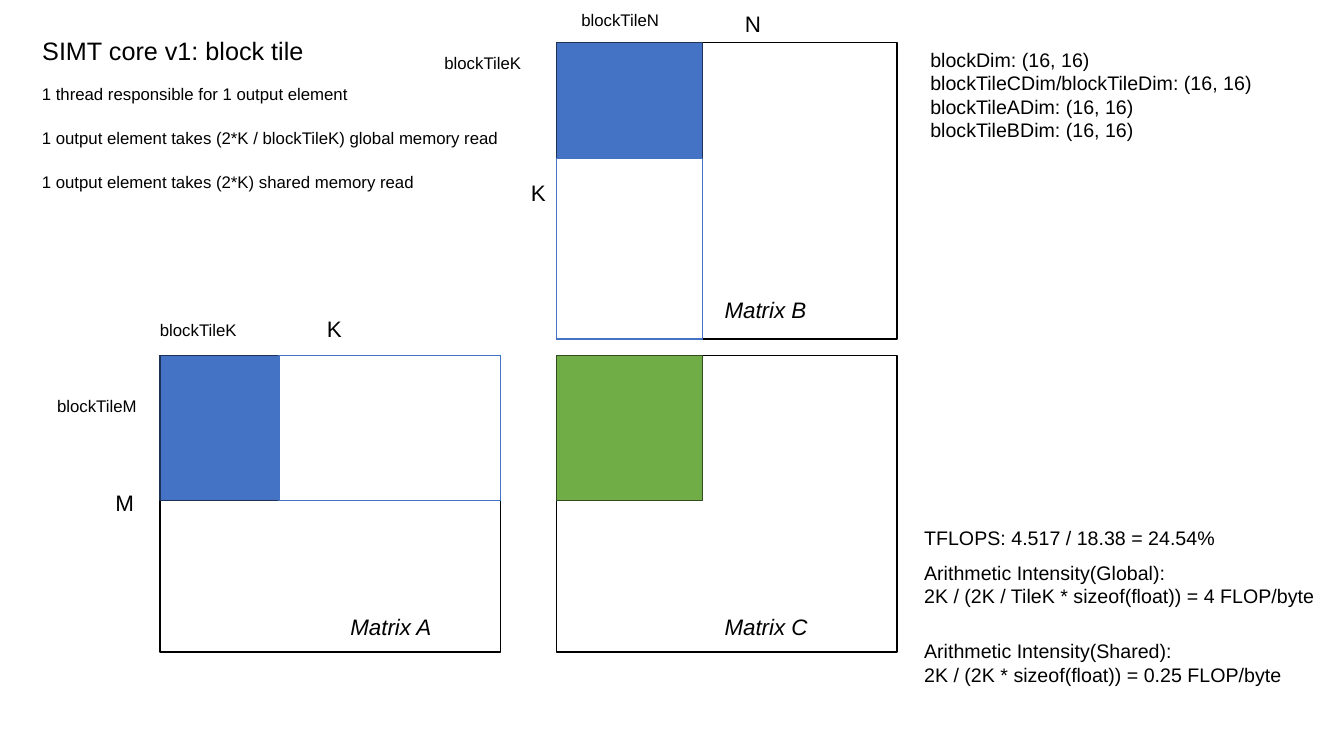
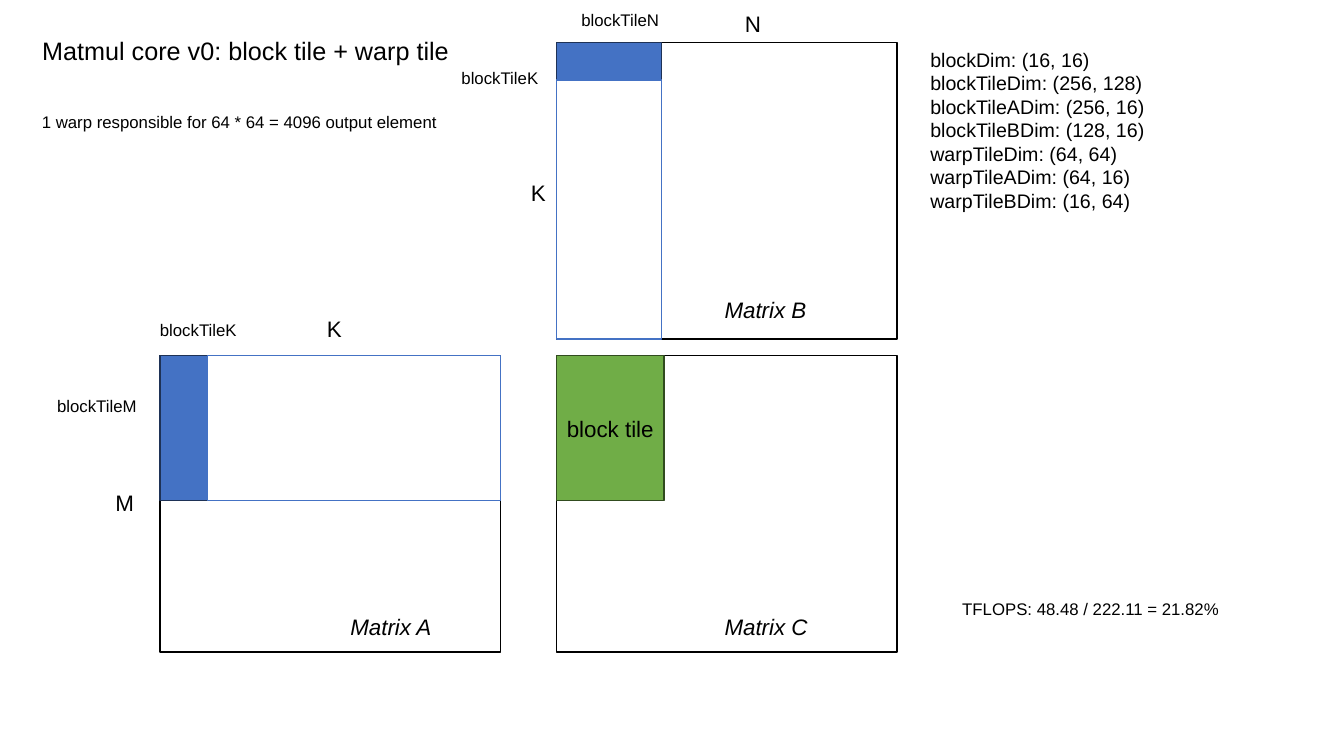
from dataclasses import dataclass

from lxml.etree import SubElement
from pptx import Presentation
from pptx.dml.color import RGBColor
from pptx.enum.shapes import MSO_SHAPE as Preset
from pptx.enum.text import MSO_ANCHOR as Anchor, MSO_AUTO_SIZE as AutoSize, PP_ALIGN as Align
from pptx.oxml.ns import qn
from pptx.util import Cm, Pt


@dataclass(frozen=True)
class Theme:
    font: str = "Arial"
    ink: str = "000000"
    paper: str = "FFFFFF"
    input_fill: str = "4472C4"
    input_edge: str = "1E3256"
    output_fill: str = "70AD47"
    output_edge: str = "314C1F"
    title: int = 18
    axis: int = 16
    text: int = 14
    note: int = 12
    line: int = 1


@dataclass(frozen=True)
class Box:
    """A rectangle in centimetres."""
    left: float
    top: float
    width: float
    height: float

    def inner(self, left, top, width, height):
        return Box(self.left + left, self.top + top, width, height)

    def lengths(self):
        return Cm(self.left), Cm(self.top), Cm(self.width), Cm(self.height)


@dataclass(frozen=True)
class Tiling:
    """Tile sizes in centimetres, as drawn on one page."""
    a_k: float
    b_k: float
    b_n: float
    c_n: float
    b_label: tuple
    m: float = 3.66
    caption: str = ""


THEME = Theme()
TITLE_BOX = Box(0.81, 0.76, 11, 1.02)
MATRIX_WIDTH, MATRIX_HEIGHT = 8.59, 7.47
LEFT_COLUMN, RIGHT_COLUMN = 4.03, 14.02
TOP_ROW, BOTTOM_ROW = 1.07, 8.96
MATRIX_A = Box(LEFT_COLUMN, BOTTOM_ROW, MATRIX_WIDTH, MATRIX_HEIGHT)
MATRIX_B = Box(RIGHT_COLUMN, TOP_ROW, MATRIX_WIDTH, MATRIX_HEIGHT)
MATRIX_C = Box(RIGHT_COLUMN, BOTTOM_ROW, MATRIX_WIDTH, MATRIX_HEIGHT)


# Text helpers
def write(frame, lines, size, italic=False, gap=0):
    frame.word_wrap = True
    frame.auto_size = AutoSize.NONE
    frame.vertical_anchor = Anchor.TOP
    for index, line in enumerate(lines):
        para = frame.paragraphs[0] if index == 0 else frame.add_paragraph()
        para.text = line
        para.alignment = Align.LEFT
        para.line_spacing = 1.0
        para.space_before = Pt(gap if index else 0)
        # Plain lines: no bullet, no hanging indent
        properties = para._p.get_or_add_pPr()
        properties.set("marL", "0")
        properties.set("indent", "0")
        SubElement(properties, qn("a:buNone"))
        style(para.font, size, italic)


def style(font, size, italic=False):
    font.name = THEME.font
    font.size = Pt(size)
    font.italic = italic
    font.color.rgb = RGBColor.from_string(THEME.ink)


def add_text(page, box, lines, size, **options):
    write(page.shapes.add_textbox(*box.lengths()).text_frame, lines, size, **options)


def fill_placeholder(holder, box, lines, size, **options):
    holder.left, holder.top, holder.width, holder.height = box.lengths()
    write(holder.text_frame, lines, size, **options)


def add_label(page, matrix, text, left, top, size, italic=False):
    width = 1.2 if len(text) == 1 else 3.1
    add_text(page, matrix.inner(left, top, width, 0.9), [text], size, italic=italic)


# Matrix helpers
def add_rectangle(page, box, fill, edge):
    shape = page.shapes.add_shape(Preset.RECTANGLE, *box.lengths())
    shape.shadow.inherit = False
    shape.fill.solid()
    shape.fill.fore_color.rgb = RGBColor.from_string(fill)
    shape.line.color.rgb = RGBColor.from_string(edge)
    shape.line.width = Pt(THEME.line)
    return shape


def add_matrix(page, box, name, name_left, name_top):
    add_rectangle(page, box, THEME.paper, THEME.ink)
    add_label(page, box, name, name_left, name_top, THEME.axis, italic=True)


def add_input_tile(page, tile, rest):
    add_rectangle(page, tile, THEME.input_fill, THEME.input_edge)
    add_rectangle(page, rest, THEME.paper, THEME.input_fill)


def draw_matrix_a(page, box, tiling):
    add_matrix(page, box, "Matrix A", 4.55, 6.37)
    add_input_tile(page, box.inner(0, 0, tiling.a_k, tiling.m),
                   box.inner(tiling.a_k, 0, box.width - tiling.a_k, tiling.m))
    add_label(page, box, "K", 3.96, -1.14, THEME.axis)
    add_label(page, box, "M", -1.37, 3.23, THEME.axis)
    add_label(page, box, "blockTileK", -0.25, -1.04, THEME.note)
    add_label(page, box, "blockTileM", -2.84, 0.89, THEME.note)


def draw_matrix_b(page, box, tiling):
    add_matrix(page, box, "Matrix B", 3.99, 6.27)
    add_input_tile(page, box.inner(0, 0, tiling.b_n, tiling.b_k),
                   box.inner(0, tiling.b_k, tiling.b_n, box.height - tiling.b_k))
    add_label(page, box, "K", -0.89, 3.33, THEME.axis)
    add_label(page, box, "N", 4.5, -0.94, THEME.axis)
    add_label(page, box, "blockTileK", *tiling.b_label, THEME.note)
    add_label(page, box, "blockTileN", 0.38, -0.94, THEME.note)


def draw_matrix_c(page, box, tiling):
    add_matrix(page, box, "Matrix C", 3.99, 6.37)
    tile = add_rectangle(page, box.inner(0, 0, tiling.c_n, tiling.m),
                         THEME.output_fill, THEME.output_edge)
    if tiling.caption:
        frame = tile.text_frame
        frame.margin_left = frame.margin_right = 0
        frame.vertical_anchor = Anchor.MIDDLE
        para = frame.paragraphs[0]
        para.text = tiling.caption
        para.alignment = Align.CENTER
        style(para.font, THEME.axis)


def add_page(deck, title, notes, notes_top, dimensions, tiling):
    page = deck.slides.add_slide(deck.slide_layouts.get_by_name("Two Content"))
    title_holder, notes_holder, dimensions_holder = page.placeholders
    fill_placeholder(title_holder, TITLE_BOX, [title], THEME.title)
    # Thread notes on the left, block sizes on the right
    fill_placeholder(notes_holder, Box(0.8, notes_top, 12.2, 3), notes,
                     THEME.note, gap=17)
    fill_placeholder(dimensions_holder, Box(23.19, 1.07, 9.5, 4.5), dimensions,
                     THEME.text)
    draw_matrix_a(page, MATRIX_A, tiling)
    draw_matrix_b(page, MATRIX_B, tiling)
    draw_matrix_c(page, MATRIX_C, tiling)
    return page


def add_thread_page(deck):
    page = add_page(
        deck, "SIMT core v1: block tile",
        ["1 thread responsible for 1 output element",
         "1 output element takes (2*K / blockTileK) global memory read",
         "1 output element takes (2*K) shared memory read"], 1.98,
        ["blockDim: (16, 16)", "blockTileCDim/blockTileDim: (16, 16)",
         "blockTileADim: (16, 16)", "blockTileBDim: (16, 16)"],
        Tiling(a_k=3, b_k=2.92, b_n=3.68, c_n=3.68, b_label=(-3.07, 0.13)))
    # Throughput and arithmetic intensity
    results = [
        (13.13, ["TFLOPS: 4.517 / 18.38 = 24.54%"]),
        (14, ["Arithmetic Intensity(Global):",
              "2K / (2K / TileK * sizeof(float)) = 4 FLOP/byte"]),
        (15.98, ["Arithmetic Intensity(Shared):",
                 "2K / (2K * sizeof(float)) = 0.25 FLOP/byte"]),
    ]
    for top, lines in results:
        add_text(page, Box(23.04, top, 10.7, 0.25 + 0.6 * len(lines)), lines,
                 THEME.text)


def add_warp_page(deck):
    page = add_page(
        deck, "Matmul core v0: block tile + warp tile",
        ["1 warp responsible for 64 * 64 = 4096 output element"], 2.69,
        ["blockDim: (16, 16)", "blockTileDim: (256, 128)",
         "blockTileADim: (256, 16)", "blockTileBDim: (128, 16)",
         "warpTileDim: (64, 64)", "warpTileADim: (64, 16)",
         "warpTileBDim: (16, 64)"],
        Tiling(a_k=1.2, b_k=0.95, b_n=2.65, c_n=2.72, b_label=(-2.64, 0.51),
               caption="block tile"))
    # Throughput
    add_text(page, Box(24, 14.96, 9.5, 0.76),
             ["TFLOPS: 48.48 / 222.11 = 21.82%"], THEME.note)


def main():
    deck = Presentation()
    deck.slide_width, deck.slide_height = Cm(33.87), Cm(19.05)
    add_thread_page(deck)
    add_warp_page(deck)
    deck.save("out.pptx")


if __name__ == "__main__":
    main()
